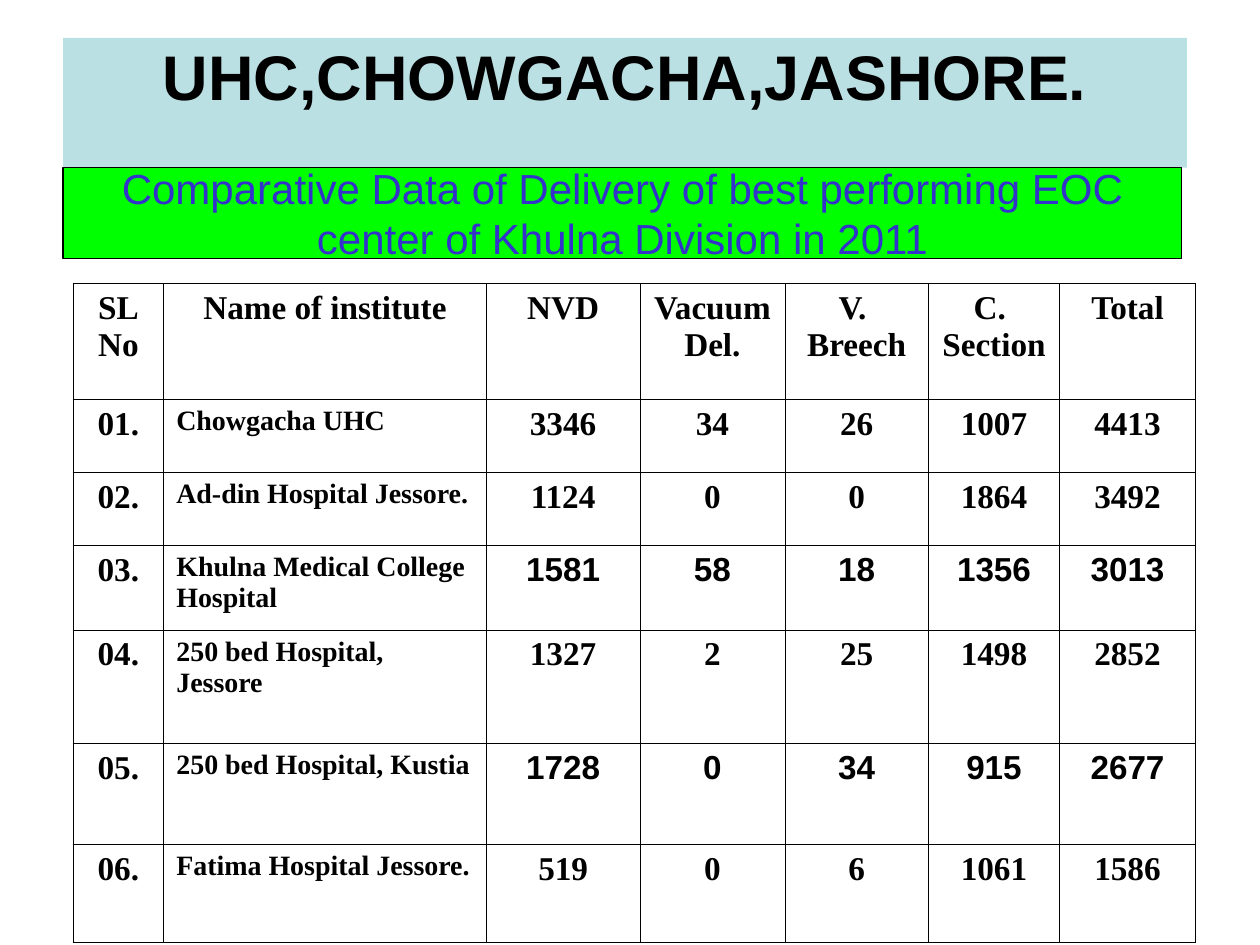
import dataclasses

import pptx
import pptx.dml.color
import pptx.enum.shapes
import pptx.enum.text
import pptx.oxml
import pptx.oxml.ns
import pptx.util
from pptx.util import Inches

ALIGN = pptx.enum.text.PP_ALIGN
ANCHOR = pptx.enum.text.MSO_ANCHOR


@dataclasses.dataclass(frozen=True)
class Theme:
    sans: str = "Arial"
    serif: str = "Times New Roman"
    black: str = "000000"
    title_fill: str = "BBE0E3"
    subtitle_fill: str = "00FF00"
    subtitle_text: str = "3333CC"
    title_size: float = 36
    subtitle_size: float = 24
    figure_size: float = 19
    name_size: float = 16
    outline: float = 0.75
    border: float = 0.45


@dataclasses.dataclass(frozen=True)
class Institute:
    name: str
    figures: tuple[int, ...]
    font: str


THEME = Theme()

HEADINGS = ("SL\nNo", "Name of institute", "NVD", "Vacuum\nDel.",
            "V. \nBreech", "C. \nSection", "Total")
INSTITUTES = (
    Institute("Chowgacha UHC", (3346, 34, 26, 1007, 4413), THEME.serif),
    Institute("Ad-din Hospital Jessore.", (1124, 0, 0, 1864, 3492), THEME.serif),
    Institute("Khulna Medical College Hospital", (1581, 58, 18, 1356, 3013), THEME.sans),
    Institute("250 bed Hospital, Jessore", (1327, 2, 25, 1498, 2852), THEME.serif),
    Institute("250 bed Hospital, Kustia", (1728, 0, 34, 915, 2677), THEME.sans),
    Institute("Fatima Hospital Jessore.", (519, 0, 6, 1061, 1586), THEME.serif),
)
COLUMN_WIDTHS = (0.72, 2.56, 1.22, 1.15, 1.14, 1.04, 1.08)
ROW_HEIGHTS = (0.92, 0.58, 0.58, 0.67, 0.9, 0.8, 0.78)


def rgb(color: str) -> pptx.dml.color.RGBColor:
    return pptx.dml.color.RGBColor.from_string(color)


def write(text_frame, text: str, font: str, size: float, color: str = THEME.black,
          bold: bool = True, align=ALIGN.CENTER) -> None:
    """Set the text and format every run in it."""
    text_frame.text = text
    for paragraph in text_frame.paragraphs:
        paragraph.alignment = align
        for run in paragraph.runs:
            run.font.name = font
            run.font.size = pptx.util.Pt(size)
            run.font.bold = bold
            run.font.color.rgb = rgb(color)


def fill_shape(shape, color: str) -> None:
    shape.fill.solid()
    shape.fill.fore_color.rgb = rgb(color)


def add_title(slide) -> None:
    title = slide.shapes.title
    title.left, title.top = Inches(0.5), Inches(0.3)
    title.width, title.height = Inches(8.92), Inches(1.03)
    fill_shape(title, THEME.title_fill)
    write(title.text_frame, "UHC,CHOWGACHA,JASHORE.", THEME.sans, THEME.title_size)
    title.text_frame.auto_size = pptx.enum.text.MSO_AUTO_SIZE.NONE
    title.text_frame.vertical_anchor = ANCHOR.TOP
    title.text_frame.margin_top = 0


def add_subtitle(slide) -> None:
    subtitle = slide.shapes.add_shape(
        pptx.enum.shapes.MSO_SHAPE.RECTANGLE,
        Inches(0.5), Inches(1.33), Inches(8.88), Inches(0.72))
    subtitle.shadow.inherit = False
    fill_shape(subtitle, THEME.subtitle_fill)
    subtitle.line.color.rgb = rgb(THEME.black)
    subtitle.line.width = pptx.util.Pt(THEME.outline)
    subtitle.text_frame.word_wrap = True
    subtitle.text_frame.vertical_anchor = ANCHOR.MIDDLE
    write(subtitle.text_frame,
          "Comparative Data of Delivery of best performing EOC center of "
          "Khulna Division in 2011",
          THEME.sans, THEME.subtitle_size, THEME.subtitle_text, bold=False)


def style_cell(cell) -> None:
    """Draw thin borders on all four sides and leave the cell unfilled."""
    properties = cell._tc.get_or_add_tcPr()
    for side in ("lnL", "lnR", "lnT", "lnB"):
        properties.append(pptx.oxml.parse_xml(
            f'<a:{side} {pptx.oxml.ns.nsdecls("a")} w="{int(pptx.util.Pt(THEME.border))}">'
            f'<a:solidFill><a:srgbClr val="{THEME.black}"/></a:solidFill></a:{side}>'))
    cell.fill.background()


def add_delivery_table(slide) -> None:
    table = slide.shapes.add_table(
        len(ROW_HEIGHTS), len(COLUMN_WIDTHS), Inches(0.58), Inches(2.25),
        Inches(sum(COLUMN_WIDTHS)), Inches(sum(ROW_HEIGHTS))).table
    table.first_row = table.horz_banding = False
    for column, width in zip(table.columns, COLUMN_WIDTHS):
        column.width = Inches(width)
    for row, height in zip(table.rows, ROW_HEIGHTS):
        row.height = Inches(height)
    for cell in table.iter_cells():
        style_cell(cell)

    # Heading row
    for column, heading in enumerate(HEADINGS):
        write(table.cell(0, column).text_frame, heading, THEME.serif, THEME.figure_size)

    # One row per institute
    for number, institute in enumerate(INSTITUTES, start=1):
        write(table.cell(number, 0).text_frame, f"{number:02}.",
              THEME.serif, THEME.figure_size)
        write(table.cell(number, 1).text_frame, institute.name,
              THEME.serif, THEME.name_size, align=ALIGN.LEFT)
        for column, figure in enumerate(institute.figures, start=2):
            write(table.cell(number, column).text_frame, str(figure),
                  institute.font, THEME.figure_size)


def main() -> None:
    presentation = pptx.Presentation()
    presentation.slide_width, presentation.slide_height = Inches(10), Inches(7.5)
    slide = presentation.slides.add_slide(presentation.slide_layouts[5])
    add_title(slide)
    add_subtitle(slide)
    add_delivery_table(slide)
    presentation.save("out.pptx")


if __name__ == "__main__":
    main()
